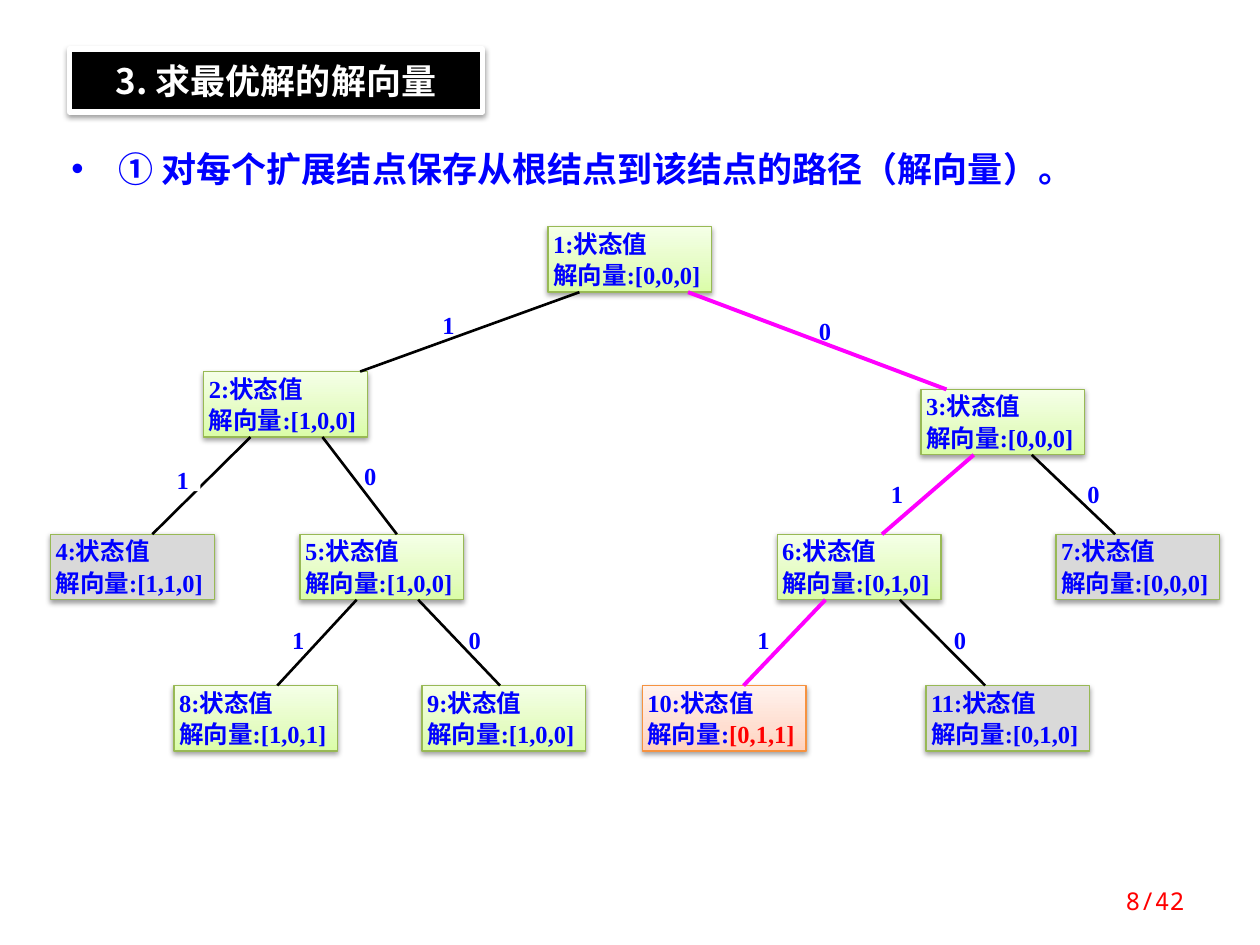
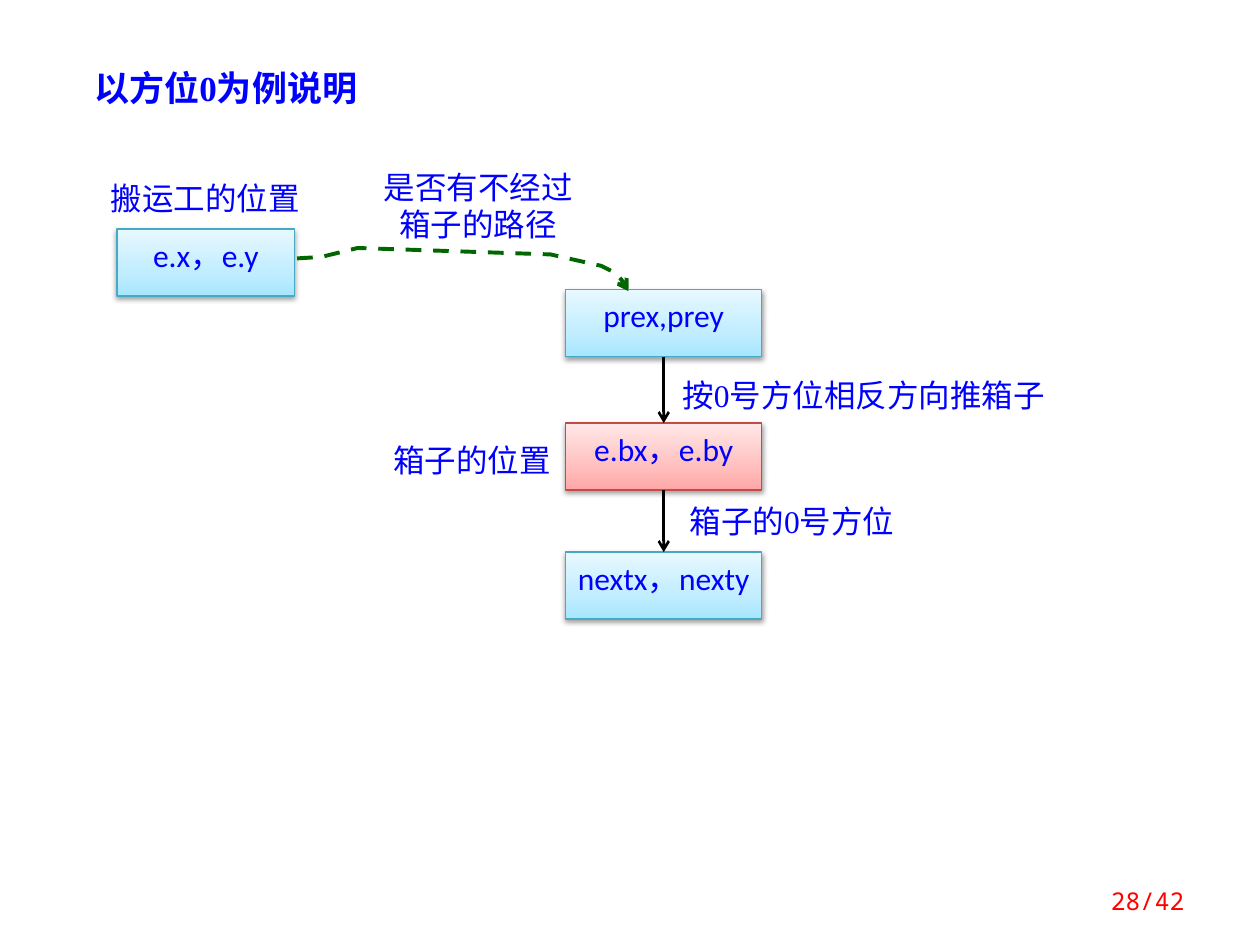
import copy

import pptx
import pptx.dml.color
import pptx.enum.dml
import pptx.enum.shapes
import pptx.enum.text
import pptx.oxml
import pptx.oxml.ns
import pptx.util
from lxml import etree

Cm = pptx.util.Cm
Pt = pptx.util.Pt
qn = pptx.oxml.ns.qn
RGBColor = pptx.dml.color.RGBColor
ALIGN = pptx.enum.text.PP_ALIGN
ANCHOR = pptx.enum.text.MSO_ANCHOR
SHAPE = pptx.enum.shapes.MSO_SHAPE
STRAIGHT = pptx.enum.shapes.MSO_CONNECTOR.STRAIGHT

BLUE = RGBColor(0x00, 0x00, 0xFF)
RED = RGBColor(0xFF, 0x00, 0x00)
BLACK = RGBColor(0x00, 0x00, 0x00)
WHITE = RGBColor(0xFF, 0xFF, 0xFF)
MAGENTA = RGBColor(0xFF, 0x00, 0xFF)
DARK_GREEN = RGBColor(0x00, 0x66, 0x00)
GREY = RGBColor(0xD9, 0xD9, 0xD9)
GREEN_LINE = RGBColor(0x98, 0xB9, 0x55)
ORANGE_LINE = RGBColor(0xF6, 0x92, 0x40)
RED_LINE = RGBColor(0xBF, 0x4C, 0x48)
CYAN_LINE = RGBColor(0x46, 0xAA, 0xC5)
# Gradients run from the bottom edge to the top edge
GREENS = (RGBColor(0xDA, 0xFD, 0xA7), RGBColor(0xE4, 0xFC, 0xC2), RGBColor(0xF5, 0xFF, 0xE7))
ORANGES = (RGBColor(0xFF, 0xD2, 0xBD), RGBColor(0xFF, 0xDE, 0xD0), RGBColor(0xFF, 0xF2, 0xED))
REDS = (RGBColor(0xFF, 0xA6, 0xA5), RGBColor(0xFF, 0xC0, 0xBF), RGBColor(0xFF, 0xE7, 0xE7))
CYANS = (RGBColor(0xA7, 0xE6, 0xFF), RGBColor(0xC1, 0xED, 0xFF), RGBColor(0xE7, 0xF8, 0xFF))

SERIF = "Times New Roman"
CJK = "Noto Sans CJK SC"


def write(sp, text, size, font=SERIF, color=BLUE, bold=False, align=ALIGN.LEFT,
          anchor=ANCHOR.TOP, insets=(0, 0, 0, 0), spacing=None):
    """Fill a shape with uniformly formatted text; insets are left, top, right, bottom in cm."""
    tf = sp.text_frame
    tf.text = text
    tf.word_wrap = True
    tf.auto_size = pptx.enum.text.MSO_AUTO_SIZE.NONE
    tf.vertical_anchor = anchor
    tf.margin_left, tf.margin_top, tf.margin_right, tf.margin_bottom = map(Cm, insets)
    for p in tf.paragraphs:
        p.alignment = align
        p.space_before = Pt(0)
        p.line_spacing = spacing
        for r in p.runs:
            r.font.size = Pt(size)
            r.font.name = font
            r.font.bold = bold
            r.font.color.rgb = color
            etree.SubElement(r._r.get_or_add_rPr(), qn("a:ea"), typeface=CJK)


def paint(sp, fill, line=None, width=0.75, shadow=True):
    """Set a plain or three-stop fill, the outline and the soft lower shadow."""
    if isinstance(fill, RGBColor):
        sp.fill.solid()
        sp.fill.fore_color.rgb = fill
    else:
        sp.fill.gradient()
        sp.fill.gradient_angle = 90
        stops = sp._element.spPr.find(".//" + qn("a:gsLst"))
        stops.insert(1, copy.deepcopy(stops[0]))
        for stop, position, color in zip(sp.fill.gradient_stops, (0, 0.35, 1), fill):
            stop.position = position
            stop.color.rgb = color
    if line is None:
        sp.line.fill.background()
    else:
        sp.line.color.rgb = line
        sp.line.width = Pt(width)
    sp.shadow.inherit = False
    if shadow:
        outer = etree.SubElement(sp._element.spPr.find(qn("a:effectLst")), qn("a:outerShdw"),
                                 blurRad="40000", dist="20000", dir="5400000", rotWithShape="0")
        clr = etree.SubElement(outer, qn("a:srgbClr"), val="000000")
        etree.SubElement(clr, qn("a:alpha"), val="38000")


prs = pptx.Presentation()
prs.slide_width, prs.slide_height = Cm(25.4), Cm(19.05)

# Slide 1: solution tree
s = prs.slides.add_slide(prs.slide_layouts[1])
sp = s.shapes.title
sp.left, sp.top, sp.width, sp.height = Cm(1.4), Cm(0.99), Cm(8.33), Cm(1.27)
paint(sp, BLACK, WHITE, 3)
write(sp, "3. 求最优解的解向量", 20, CJK, WHITE, True, ALIGN.CENTER, ANCHOR.MIDDLE,
      (0.25, 0.2, 0.25, 0.2))

sp = s.placeholders[1]
sp.left, sp.top, sp.width, sp.height = Cm(1.19), Cm(2.84), Cm(22.43), Cm(1.12)
pPr = sp.text_frame.paragraphs[0]._p.get_or_add_pPr()
pPr.set("marL", "0")
pPr.set("indent", "0")
etree.SubElement(pPr, qn("a:buNone"))
write(sp, "① 对每个扩展结点保存从根结点到该结点的路径（解向量）。", 20, bold=True,
      insets=(0.25, 0.13, 0.25, 0.13))

NODE_W, NODE_H = 3.3, 1.32
ROW_3, ROW_4 = 10.77, 13.82
nodes = {  # number: left, top, solution vector
    1: (11.05, 4.57, "[0,0,0]"),
    2: (4.11, 7.49, "[1,0,0]"),
    3: (18.57, 7.85, "[0,0,0]"),
    4: (1.02, ROW_3, "[1,1,0]"),
    5: (6.05, ROW_3, "[1,0,0]"),
    6: (15.67, ROW_3, "[0,1,0]"),
    7: (21.29, ROW_3, "[0,0,0]"),
    8: (3.51, ROW_4, "[1,0,1]"),
    9: (8.51, ROW_4, "[1,0,0]"),
    10: (12.95, ROW_4, "[0,1,1]"),
    11: (18.67, ROW_4, "[0,1,0]"),
}
edges = {  # child: x at parent, x at child, label left, label top
    4: (5.05, 3.07, 3.56, 9.37),
    2: (11.68, 7.26, 8.92, 6.25),
    3: (13.87, 19.08, 16.51, 6.38),
    5: (6.5, 8.0, 7.34, 9.3),
    6: (19.63, 17.78, 17.96, 9.65),
    7: (20.8, 22.48, 21.92, 9.65),
    8: (7.19, 5.59, 5.89, 12.6),
    9: (8.43, 10.08, 9.45, 12.6),
    10: (16.64, 14.99, 15.27, 12.6),
    11: (18.14, 19.86, 19.23, 12.6),
}
pruned = (4, 7, 11)
best_leaf = 10
best_path = (3, 6, best_leaf)

for number, (x, y, vector) in nodes.items():
    sp = s.shapes.add_shape(SHAPE.RECTANGLE, Cm(x), Cm(y), Cm(NODE_W), Cm(NODE_H))
    if number == best_leaf:
        paint(sp, ORANGES, ORANGE_LINE)
    else:
        paint(sp, GREY if number in pruned else GREENS, GREEN_LINE)
    write(sp, f"{number}:状态值\n解向量:{vector}", 14, bold=True,
          insets=(0.1, 0, 0, 0), spacing=Pt(18))
    if number == best_leaf:
        p = sp.text_frame.paragraphs[1]
        p._p.append(copy.deepcopy(p.runs[0]._r))
        p.runs[0].text = "解向量:"
        p.runs[1].text = vector
        p.runs[1].font.color.rgb = RED

labels = []
for child, (x1, x2, label_x, label_y) in edges.items():
    line = s.shapes.add_connector(STRAIGHT, Cm(x1), Cm(nodes[child // 2][1] + NODE_H),
                                  Cm(x2), Cm(nodes[child][1]))
    line.line.color.rgb = MAGENTA if child in best_path else BLACK
    line.line.width = Pt(2.25 if child in best_path else 1.5)
    sp = s.shapes.add_shape(SHAPE.RECTANGLE, Cm(label_x), Cm(label_y), Cm(0.48), Cm(0.53))
    paint(sp, WHITE, shadow=False)
    write(sp, "0" if child % 2 else "1", 14, bold=True)
    labels.append(sp)
# Only the label of node 4 covers its edge; the others lie behind the tree
for sp in labels[1:]:
    s.shapes._spTree.insert(2, sp._element)

# Slide 2: pushing the box
s = prs.slides.add_slide(prs.slide_layouts[5])
sp = s.shapes.title
sp.left, sp.top, sp.width, sp.height = Cm(1.4), Cm(1.19), Cm(7.54), Cm(1.3)
paint(sp, WHITE, WHITE, 2, shadow=False)
write(sp, "以方位0为例说明", 20, bold=True, anchor=ANCHOR.MIDDLE,
      insets=(0.5, 0.3, 0.25, 0.3), spacing=0.8)

captions = [
    ("箱子的位置", 7.57, 8.89, 3.89, 0.79),
    ("是否有不经过箱子的路径", 7.57, 3.38, 4.14, 1.4),
    ("搬运工的位置", 1.98, 3.61, 4.32, 0.79),
    ("按0号方位相反方向推箱子", 13.64, 7.59, 7.54, 0.74),
    ("箱子的0号方位", 13.77, 10.13, 4.39, 0.74),
]
for text, x, y, w, h in captions:
    sp = s.shapes.add_shape(SHAPE.RECTANGLE, Cm(x), Cm(y), Cm(w), Cm(h))
    paint(sp, WHITE, shadow=False)
    write(sp, text, 18, align=ALIGN.CENTER)

positions = [
    ("e.x，e.y", 2.36, 4.62, 3.58, CYANS, CYAN_LINE),
    ("prex,prey", 11.4, 5.84, 3.96, CYANS, CYAN_LINE),
    ("e.bx，e.by", 11.4, 8.53, 3.96, REDS, RED_LINE),
    ("nextx，nexty", 11.4, 11.13, 3.96, CYANS, CYAN_LINE),
]
boxes = []
for text, x, y, w, fill, line in positions:
    sp = s.shapes.add_shape(SHAPE.RECTANGLE, Cm(x), Cm(y), Cm(w), Cm(1.35))
    paint(sp, fill, line)
    write(sp, text, 18, "Calibri", align=ALIGN.CENTER, insets=(0, 0.13, 0, 0))
    boxes.append(sp)

arrows = []
for upper, lower in zip(boxes[1:], boxes[2:]):
    arrow = s.shapes.add_connector(STRAIGHT, 0, 0, 0, 0)
    arrow.begin_connect(upper, 2)
    arrow.end_connect(lower, 0)
    arrow.line.color.rgb = BLACK
    arrow.line.width = Pt(1.5)
    arrows.append(arrow)

route = [(5.99, 5.21), (6.48, 5.18), (7.21, 5.0), (11.1, 5.13), (12.12, 5.36),
         (12.42, 5.51), (12.57, 5.69), (12.67, 5.87)]
points = [(Cm(x), Cm(y)) for x, y in route]
builder = s.shapes.build_freeform(*points[0])
builder.add_line_segments(points[1:], close=False)
walk = builder.convert_to_shape()
walk.fill.background()
walk.shadow.inherit = False
walk.line.color.rgb = DARK_GREEN
walk.line.width = Pt(2.25)
walk.line.dash_style = pptx.enum.dml.MSO_LINE.DASH
for sp in arrows + [walk]:
    etree.SubElement(sp._element.spPr.find(qn("a:ln")), qn("a:tailEnd"), type="arrow")

# Page numbers and flat connectors on every slide
for s, page in zip(prs.slides, (8, 28)):
    for sp in s.shapes:
        if sp.shape_type == pptx.enum.shapes.MSO_SHAPE_TYPE.LINE:
            etree.SubElement(sp._element.spPr, qn("a:effectLst"))
    sp = s.shapes.add_textbox(Cm(18.21), Cm(17.65), Cm(5.92), Cm(1.02))
    write(sp, f"{page}/42", 14, "Noto Sans Mono", RED, align=ALIGN.RIGHT,
          anchor=ANCHOR.MIDDLE, insets=(0.25, 0.13, 0.25, 0.13))

prs.save("out.pptx")
